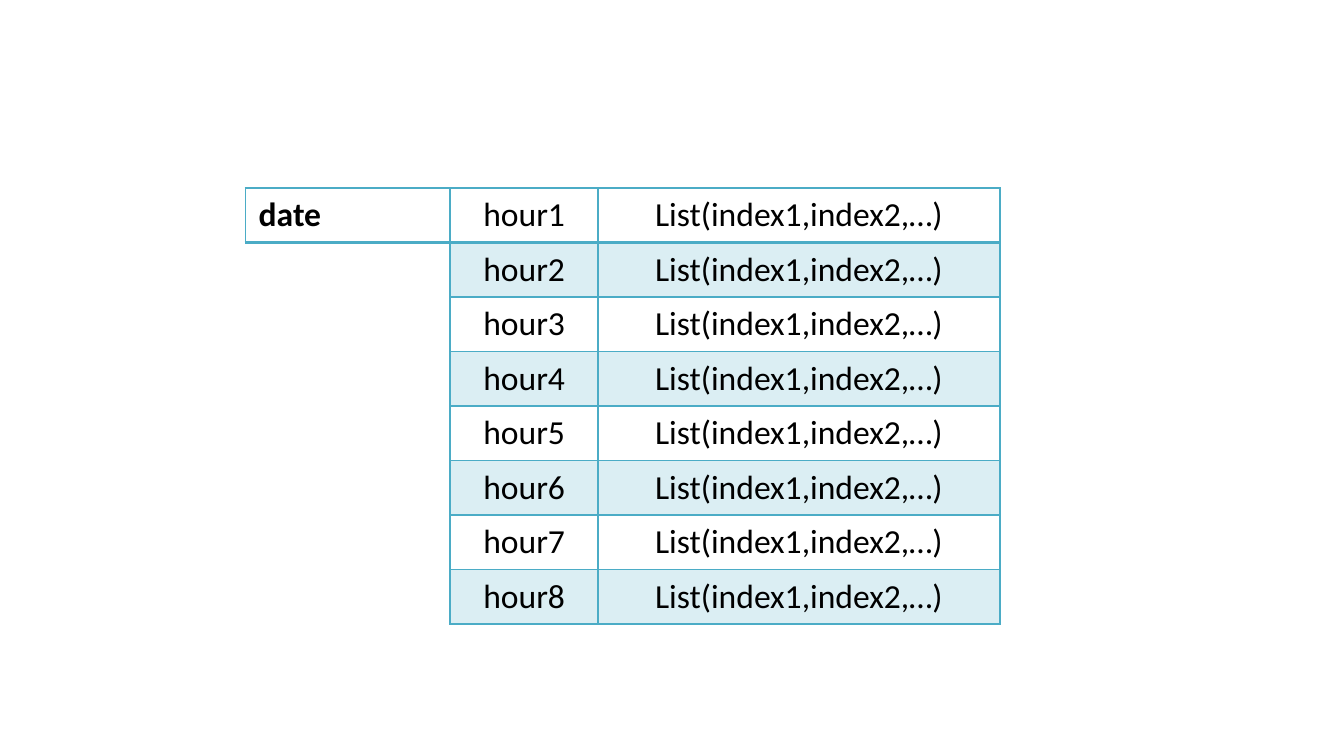
from lxml import etree
from pptx import Presentation
from pptx.dml.color import RGBColor
from pptx.enum.text import PP_ALIGN
from pptx.oxml.ns import qn
from pptx.util import Pt

LEFT, CENTER = PP_ALIGN.LEFT, PP_ALIGN.CENTER
TEAL = RGBColor(0x4B, 0xAC, 0xC6)
BLACK = RGBColor(0, 0, 0)
TOP = 100.8
ROW = 29.2
HOURS = 8


def add_line(cell, side, width):
    line = etree.SubElement(cell._tc.get_or_add_tcPr(), qn(f"a:ln{side}"), w=str(Pt(width)))
    fill = etree.SubElement(line, qn("a:solidFill"))
    etree.SubElement(fill, qn("a:srgbClr"), val=str(TEAL))


def tint(cell):
    """Fill the cell with teal at 20% opacity."""
    cell.fill.solid()
    cell.fill.fore_color.rgb = TEAL
    color = next(cell._tc.tcPr.iterchildren(qn("a:solidFill")))[0]
    etree.SubElement(color, qn("a:alpha"), val="20000")


def style_cell(cell, text, align, bold, head, below, band):
    """Thicken the rule under the head row; below marks the row beneath it."""
    widths = {"L": 1, "R": 1, "T": 2 if below else 1, "B": 2 if head else 1}
    for side, width in widths.items():
        add_line(cell, side, width)
    if band:
        tint(cell)
    else:
        cell.fill.background()
    cell.text_frame.text = text
    para = cell.text_frame.paragraphs[0]
    para.alignment = align
    font = para.runs[0].font
    font.name, font.size, font.bold = "Calibri", Pt(18), bold
    font.color.rgb = BLACK


def add_grid(slide, left, widths, rows, align, bold=False):
    frame = slide.shapes.add_table(len(rows), len(widths), Pt(left), Pt(TOP),
                                   Pt(sum(widths)), Pt(ROW * len(rows)))
    table = frame.table
    table.first_row = table.horz_banding = False
    for col, width in zip(table.columns, widths):
        col.width = Pt(width)
    for i, texts in enumerate(rows):
        table.rows[i].height = Pt(ROW)
        for j, text in enumerate(texts):
            style_cell(table.cell(i, j), text, align, bold, i == 0, i == 1, i % 2 == 1)


def main():
    deck = Presentation()
    deck.slide_width, deck.slide_height = Pt(720), Pt(405)
    slide = deck.slides.add_slide(deck.slide_layouts[6])
    hours = [(f"hour{n}", "List(index1,index2,…)") for n in range(1, HOURS + 1)]
    add_grid(slide, 241.2, [79.2, 215.3], hours, CENTER)
    add_grid(slide, 131.4, [109.8], [("date",)], LEFT, bold=True)
    deck.save("out.pptx")


if __name__ == "__main__":
    main()
